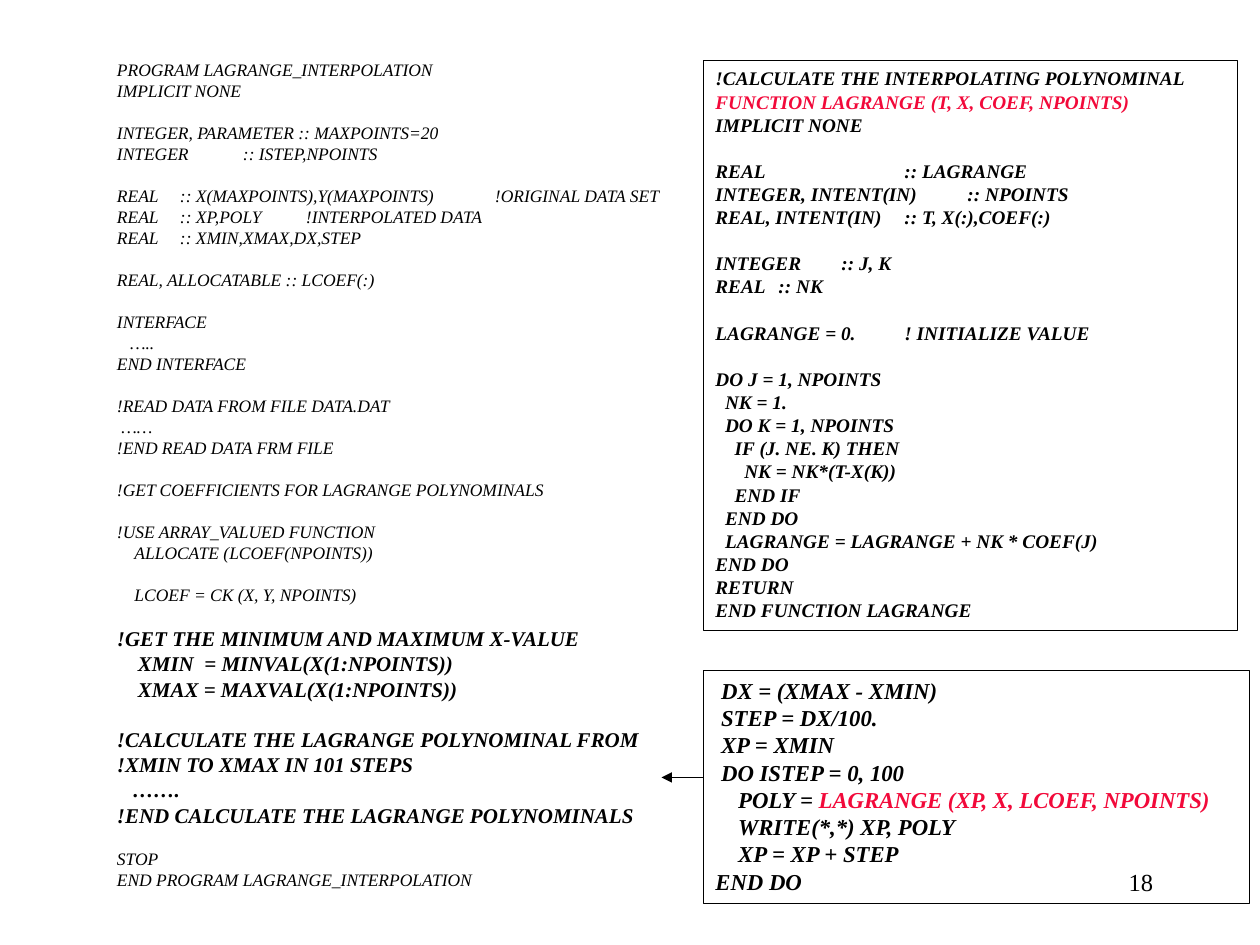
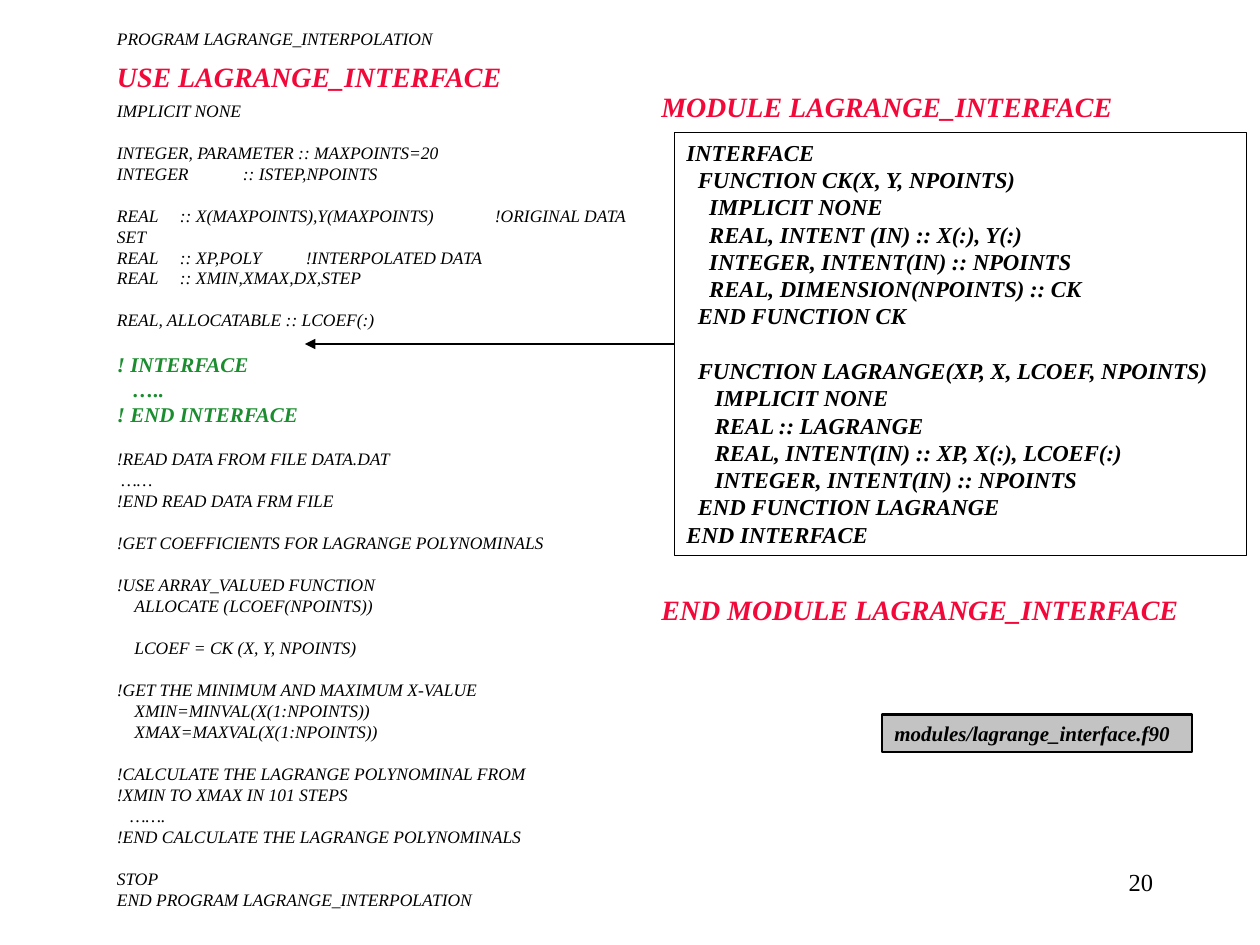
"""Build two slides on a Lagrange interpolation program and its interface module."""
from dataclasses import dataclass

from lxml.etree import SubElement
from pptx import Presentation
from pptx.dml.color import RGBColor
from pptx.enum.shapes import MSO_CONNECTOR as Connector, MSO_SHAPE as Shape
from pptx.enum.text import MSO_ANCHOR as Anchor, PP_ALIGN as Align
from pptx.oxml.ns import qn
from pptx.util import Inches, Pt


@dataclass(frozen=True)
class Theme:
    """Colours, type sizes and spacing shared by the slides."""
    font: str = "Times New Roman"
    ink: str = "000000"
    accent: str = "F2093A"
    comment: str = "1A8D2E"
    tag_fill: str = "C3C3C3"
    small: int = 10
    listing: int = 11
    strong: int = 12
    large: int = 13
    number: int = 14
    heading: int = 16
    leading: float = 1.2
    space_width: float = 0.25


THEME = Theme()


@dataclass
class Passage:
    """A stretch of code in one style; empty lines become space before the next line."""
    text: str
    size: int = THEME.small
    bold: bool = False
    color: str = THEME.ink
    before: float = 0


DECLARATIONS = """
INTEGER, PARAMETER :: MAXPOINTS=20
INTEGER\t:: ISTEP,NPOINTS

REAL\t:: X(MAXPOINTS),Y(MAXPOINTS)\t!ORIGINAL DATA SET
REAL\t:: XP,POLY\t!INTERPOLATED DATA
REAL\t:: XMIN,XMAX,DX,STEP

REAL, ALLOCATABLE :: LCOEF(:)"""

COEFFICIENTS = """
!READ DATA FROM FILE DATA.DAT
 ……
!END READ DATA FRM FILE

!GET COEFFICIENTS FOR LAGRANGE POLYNOMINALS

!USE ARRAY_VALUED FUNCTION
    ALLOCATE (LCOEF(NPOINTS))

    LCOEF = CK (X, Y, NPOINTS)"""

CALCULATION = """
!CALCULATE THE LAGRANGE POLYNOMINAL FROM
!XMIN TO XMAX IN 101 STEPS
   …….
!END CALCULATE THE LAGRANGE POLYNOMINALS"""

OPENING = "PROGRAM LAGRANGE_INTERPOLATION"
IMPLICIT = "IMPLICIT NONE"
CLOSING = "\nSTOP\nEND PROGRAM LAGRANGE_INTERPOLATION"

INTERFACE_STUB = """
INTERFACE
   …..
END INTERFACE"""

COMMENTED_STUB = """
! INTERFACE
   …..
! END INTERFACE"""

SPACED_RANGE = """
!GET THE MINIMUM AND MAXIMUM X-VALUE
    XMIN  = MINVAL(X(1:NPOINTS))
    XMAX = MAXVAL(X(1:NPOINTS))"""

TIGHT_RANGE = """
!GET THE MINIMUM AND MAXIMUM X-VALUE
    XMIN=MINVAL(X(1:NPOINTS))
    XMAX=MAXVAL(X(1:NPOINTS))"""

LAGRANGE_FUNCTION = """\
!CALCULATE THE INTERPOLATING POLYNOMINAL
FUNCTION LAGRANGE (T, X, COEF, NPOINTS)
IMPLICIT NONE

REAL\t\t\t:: LAGRANGE
INTEGER, INTENT(IN)\t:: NPOINTS
REAL, INTENT(IN)\t:: T, X(:),COEF(:)

INTEGER\t:: J, K
REAL\t:: NK

LAGRANGE = 0.\t! INITIALIZE VALUE

DO J = 1, NPOINTS
  NK = 1.
  DO K = 1, NPOINTS
    IF (J. NE. K) THEN
      NK = NK*(T-X(K))
    END IF
  END DO
  LAGRANGE = LAGRANGE + NK * COEF(J)
END DO
RETURN
END FUNCTION LAGRANGE"""

STEP_LOOP = """\
 DX = (XMAX - XMIN)
 STEP = DX/100.
 XP = XMIN
 DO ISTEP = 0, 100
    POLY = LAGRANGE (XP, X, LCOEF, NPOINTS)
    WRITE(*,*) XP, POLY
    XP = XP + STEP
END DO"""

INTERFACE_BLOCK = """\
INTERFACE
  FUNCTION CK(X, Y, NPOINTS)
    IMPLICIT NONE
    REAL, INTENT (IN) :: X(:), Y(:)
    INTEGER, INTENT(IN) :: NPOINTS
    REAL, DIMENSION(NPOINTS) :: CK
  END FUNCTION CK

  FUNCTION LAGRANGE(XP, X, LCOEF, NPOINTS)
     IMPLICIT NONE
     REAL :: LAGRANGE
     REAL, INTENT(IN) :: XP, X(:), LCOEF(:)
     INTEGER, INTENT(IN) :: NPOINTS
  END FUNCTION LAGRANGE
END INTERFACE"""

PROGRAM_TABS = (0.47, 0.98, 2.6)
FUNCTION_TABS = (0.92, 1.22, 1.63)


class Deck:
    """Holds the theme, the presentation and the slide being built."""

    def __init__(self, theme):
        self.theme = theme
        self.show = Presentation()
        self.show.slide_width, self.show.slide_height = Inches(10), Inches(7.5)
        self.slide = None

    def page(self, number):
        """Start a blank slide with its number."""
        self.slide = self.show.slides.add_slide(self.show.slide_layouts[6])
        label = self.slide.shapes.add_textbox(
            Inches(7.17), Inches(6.83), Inches(2.08), Inches(0.5))
        label.text_frame.word_wrap = True
        paragraph = label.text_frame.paragraphs[0]
        paragraph.text = str(number)
        paragraph.alignment = Align.RIGHT
        self.style(paragraph.runs[0], self.theme.number, self.theme.ink)

    def style(self, run, size, color, bold=False, italic=False):
        """Apply the theme font to a run."""
        font = run.font
        font.name, font.size = self.theme.font, Pt(size)
        font.bold, font.italic = bold, italic
        font.color.rgb = RGBColor.from_string(color)

    def typeset(self, frame, passages, tabs=(), highlight=None):
        """Fill a text frame with passages of code."""
        frame.word_wrap = True
        frame.vertical_anchor = Anchor.TOP
        paragraph, previous_size = None, 0
        for passage in passages:
            gap = passage.before
            for line in passage.text.split("\n"):
                if not line:
                    gap += min(previous_size, passage.size) * self.theme.leading
                    continue
                paragraph = frame.add_paragraph() if previous_size else frame.paragraphs[0]
                self.line(paragraph, line, passage, highlight)
                paragraph.space_before = Pt(gap)
                if "\t" in line:
                    self.tab_stops(paragraph, tabs)
                gap, previous_size = 0, passage.size

    def line(self, paragraph, line, passage, highlight):
        """Set one line of code, its leading spaces turned into an indent."""
        code = line.lstrip(" ")
        depth = (len(line) - len(code)) * self.theme.space_width * passage.size
        paragraph.alignment = Align.LEFT
        paragraph.line_spacing = Pt(passage.size * self.theme.leading)
        properties = paragraph._p.get_or_add_pPr()
        properties.set("marL", str(Pt(depth)))
        properties.set("indent", "0")
        parts = code.partition(highlight) if highlight else (code,)
        for part in filter(None, parts):
            run = paragraph.add_run()
            run.text = part
            color = self.theme.accent if part == highlight else passage.color
            self.style(run, passage.size, color, passage.bold, italic=True)

    def tab_stops(self, paragraph, tabs):
        """Set left tab stops on a paragraph."""
        stops = SubElement(paragraph._p.get_or_add_pPr(), qn("a:tabLst"))
        for tab in tabs:
            SubElement(stops, qn("a:tab"), pos=str(Inches(tab)), algn="l")

    def code(self, left, top, width, height, passages, tabs=()):
        """Add unframed code."""
        area = self.slide.shapes.add_textbox(
            Inches(left), Inches(top), Inches(width), Inches(height))
        self.typeset(area.text_frame, passages, tabs)

    def panel(self, left, top, width, height, passage, tabs=(), highlight=None,
              fill=None, border=0.5):
        """Add code in an outlined rectangle."""
        frame = self.slide.shapes.add_shape(
            Shape.RECTANGLE, Inches(left), Inches(top), Inches(width), Inches(height))
        frame.shadow.inherit = False
        if fill:
            frame.fill.solid()
            frame.fill.fore_color.rgb = RGBColor.from_string(fill)
        else:
            frame.fill.background()
        frame.line.color.rgb = RGBColor.from_string(self.theme.ink)
        frame.line.width = Pt(border)
        self.typeset(frame.text_frame, [passage], tabs, highlight)
        return frame

    def arrow(self, start, end, y, source=None):
        """Add a horizontal arrow, joined to the left side of source if given."""
        link = self.slide.shapes.add_connector(
            Connector.STRAIGHT, Inches(start), Inches(y), Inches(end), Inches(y))
        if source:
            link.begin_connect(source, 1)
        link.line.color.rgb = RGBColor.from_string(self.theme.ink)
        link.line.width = Pt(0.75)
        SubElement(link.line._get_or_add_ln(), qn("a:tailEnd"), type="triangle")
        SubElement(link._element.spPr, qn("a:effectLst"))


def function_slide(deck):
    """Show the program beside the interpolating function and its calling loop."""
    deck.page(18)
    deck.code(0.83, 0.42, 4.59, 7.17, [
        Passage(OPENING), Passage(IMPLICIT), Passage(DECLARATIONS),
        Passage(INTERFACE_STUB), Passage(COEFFICIENTS),
        Passage(SPACED_RANGE, THEME.strong, True),
        Passage(CALCULATION, THEME.strong, True), Passage(CLOSING)], PROGRAM_TABS)
    deck.panel(5.58, 5.32, 4.34, 1.85, Passage(STEP_LOOP, THEME.large, True),
               highlight="LAGRANGE (XP, X, LCOEF, NPOINTS)")
    deck.arrow(5.58, 5.25, 6.17)
    deck.panel(5.58, 0.48, 4.24, 4.52, Passage(LAGRANGE_FUNCTION, THEME.listing, True),
               FUNCTION_TABS, "FUNCTION LAGRANGE (T, X, COEF, NPOINTS)")


def module_slide(deck):
    """Show the program using the interface module."""
    deck.page(20)
    deck.code(0.83, 0.17, 4.43, 6.93, [
        Passage(OPENING),
        Passage("USE LAGRANGE_INTERFACE", THEME.heading, True, THEME.accent, 6),
        Passage(IMPLICIT, before=4), Passage(DECLARATIONS),
        Passage(COMMENTED_STUB, THEME.strong, True, THEME.comment),
        Passage(COEFFICIENTS), Passage(TIGHT_RANGE), Passage(CALCULATION),
        Passage(CLOSING)], PROGRAM_TABS)
    interface = deck.panel(5.35, 1.05, 4.54, 3.36,
                           Passage(INTERFACE_BLOCK, THEME.large, True))
    deck.arrow(5.35, 2.42, 2.73, interface)
    for top, width, statement in ((0.66, 3.96, "MODULE"), (4.65, 4.49, "END MODULE")):
        deck.code(5.15, top, width, 0.37, [Passage(
            f"{statement} LAGRANGE_INTERFACE", THEME.heading, True, THEME.accent)])
    deck.panel(7, 5.67, 2.46, 0.3,
               Passage("modules/lagrange_interface.f90", THEME.strong, True),
               fill=THEME.tag_fill, border=1.5)


def main():
    """Build and save the slides."""
    deck = Deck(THEME)
    function_slide(deck)
    module_slide(deck)
    deck.show.save("out.pptx")


if __name__ == "__main__":
    main()
